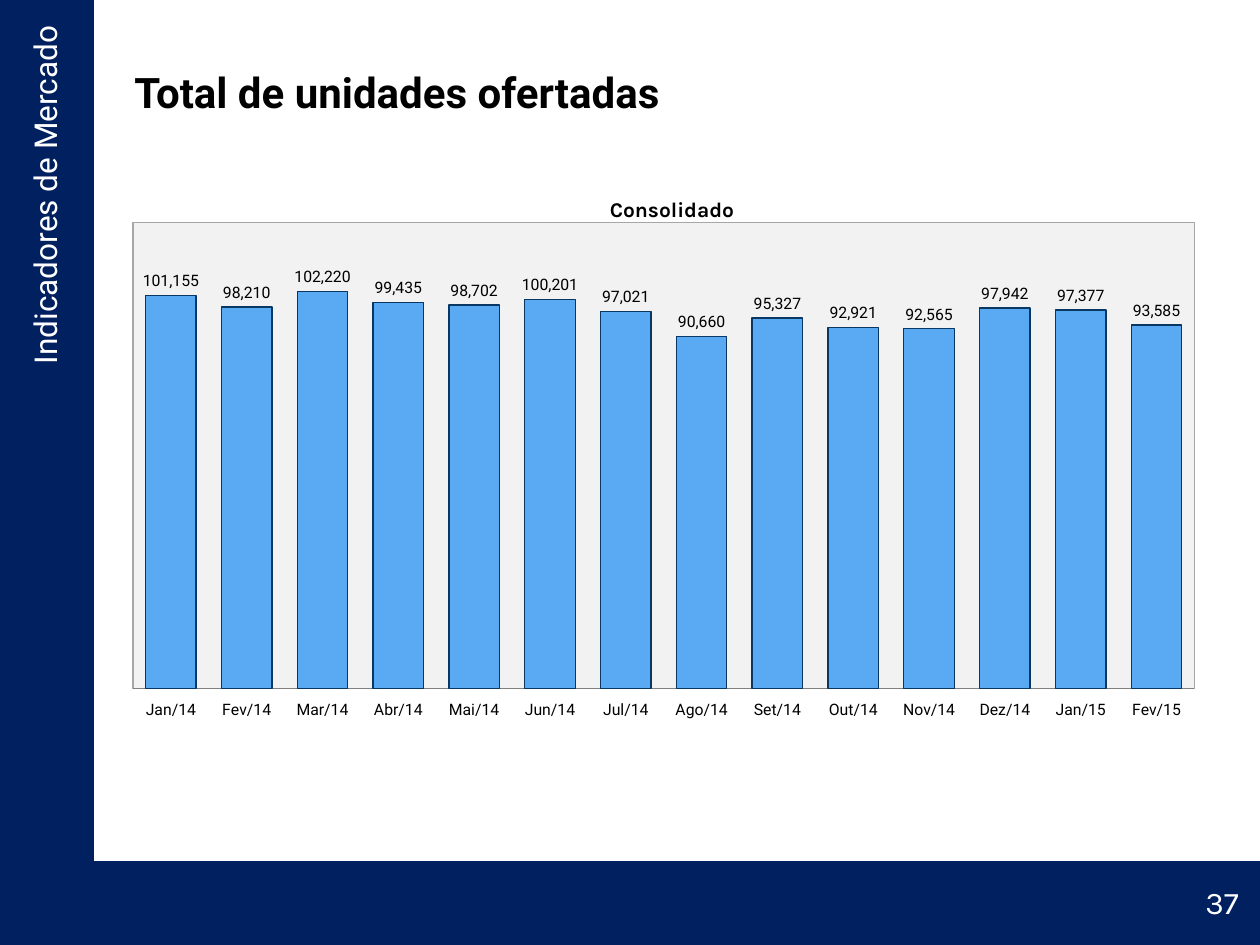
from dataclasses import dataclass

from lxml import etree
from pptx import Presentation
from pptx.chart.data import CategoryChartData
from pptx.dml.color import RGBColor
from pptx.enum.chart import XL_CHART_TYPE, XL_LABEL_POSITION, XL_TICK_LABEL_POSITION, XL_TICK_MARK
from pptx.enum.shapes import MSO_SHAPE
from pptx.enum.text import MSO_ANCHOR, PP_ALIGN
from pptx.oxml import parse_xml
from pptx.oxml.ns import nsdecls, qn
from pptx.util import Emu, Pt

RECTANGLE = MSO_SHAPE.RECTANGLE
COLUMNS = XL_CHART_TYPE.COLUMN_CLUSTERED
OUTSIDE_END = XL_LABEL_POSITION.OUTSIDE_END
LABELS_LOW = XL_TICK_LABEL_POSITION.LOW
NO_TICK = XL_TICK_MARK.NONE
LEFT, RIGHT = PP_ALIGN.LEFT, PP_ALIGN.RIGHT
TOP, MIDDLE = MSO_ANCHOR.TOP, MSO_ANCHOR.MIDDLE
EMU_PER_PX = 914400 / 126


@dataclass(frozen=True)
class Theme:
    navy: str = "002060"
    white: str = "FFFFFF"
    black: str = "000000"
    bar: str = "59AAF2"
    bar_edge: str = "083763"
    plot: str = "F2F2F2"
    plot_edge: str = "A6A6A6"
    axis: str = "808080"
    main_font: str = "Roboto"
    accent_font: str = "Karla"
    heading_size: int = 24
    margin_size: int = 18
    chart_title_size: int = 12
    chart_size: int = 10
    label_size: int = 9


@dataclass(frozen=True)
class Box:
    left: int
    top: int
    width: int
    height: int

    def emu(self) -> tuple[Emu, ...]:
        sides = (self.left, self.top, self.width, self.height)
        return tuple(Emu(round(side * EMU_PER_PX)) for side in sides)


THEME = Theme()
PAGE = Box(0, 0, 1260, 945)
BANDS = (Box(0, 861, 1260, 84), Box(0, 0, 94, 861))
MONTHS = ("Jan/14", "Fev/14", "Mar/14", "Abr/14", "Mai/14", "Jun/14", "Jul/14",
          "Ago/14", "Set/14", "Out/14", "Nov/14", "Dez/14", "Jan/15", "Fev/15")
UNITS = (101155, 98210, 102220, 99435, 98702, 100201, 97021,
         90660, 95327, 92921, 92565, 97942, 97377, 93585)


def style_font(font, size: int, color: str, family: str, bold: bool = False) -> None:
    font.size = Pt(size)
    font.name = family
    font.bold = bold
    font.color.rgb = RGBColor.from_string(color)


def add_band(slide, box: Box) -> None:
    band = slide.shapes.add_shape(RECTANGLE, *box.emu())
    band.shadow.inherit = False
    band.fill.solid()
    band.fill.fore_color.rgb = RGBColor.from_string(THEME.navy)
    band.line.fill.background()


def add_text(slide, text: str, box: Box, *, size: int, color: str, family: str,
             bold: bool = False, align=LEFT, anchor=TOP, rotation: int = 0) -> None:
    holder = slide.shapes.add_textbox(*box.emu())
    holder.rotation = rotation
    frame = holder.text_frame
    frame.word_wrap = True
    frame.vertical_anchor = anchor
    paragraph = frame.paragraphs[0]
    paragraph.alignment = align
    run = paragraph.add_run()
    run.text = text
    style_font(run.font, size, color, family, bold)


def manual_layout(**settings: str | float) -> etree._Element:
    items = "".join(f'<c:{key} val="{value}"/>' for key, value in settings.items())
    return parse_xml(f'<c:layout {nsdecls("c")}><c:manualLayout>{items}'
                     "</c:manualLayout></c:layout>")


def set_layout(parent: etree._Element, index: int, layout: etree._Element) -> None:
    for current in parent.findall(qn("c:layout")):
        parent.remove(current)
    parent.insert(index, layout)


def style_plot_area(chart) -> None:
    area = chart.element.find(".//" + qn("c:plotArea"))
    set_layout(area, 0, manual_layout(layoutTarget="inner", xMode="edge", yMode="edge",
                                      x=0.01, y=0.089, w=0.965, h=0.735))
    area.append(parse_xml(
        f'<c:spPr {nsdecls("c", "a")}><a:solidFill><a:srgbClr val="{THEME.plot}"/></a:solidFill>'
        f'<a:ln w="9525"><a:solidFill><a:srgbClr val="{THEME.plot_edge}"/></a:solidFill></a:ln>'
        "</c:spPr>"))


def add_units_chart(slide, box: Box) -> None:
    data = CategoryChartData(number_format="#,##0")
    data.categories = MONTHS
    data.add_series("Series 1", UNITS)
    chart = slide.shapes.add_chart(COLUMNS, *box.emu(), data).chart
    style_font(chart.font, THEME.chart_size, THEME.black, THEME.accent_font)
    chart.has_legend = False

    chart.has_title = True
    title = chart.chart_title
    title.include_in_layout = False
    heading = title.text_frame.paragraphs[0].add_run()
    heading.text = "Consolidado"
    style_font(heading.font, THEME.chart_title_size, THEME.black, THEME.accent_font, True)
    set_layout(title._element, 1, manual_layout(xMode="edge", yMode="edge", x=0.44, y=0.04))
    style_plot_area(chart)

    months = chart.category_axis
    months.major_tick_mark = NO_TICK
    months.minor_tick_mark = NO_TICK
    months.tick_label_position = LABELS_LOW
    months.format.line.color.rgb = RGBColor.from_string(THEME.axis)
    style_font(months.tick_labels.font, THEME.label_size, THEME.black, THEME.main_font)

    scale = chart.value_axis
    scale.minimum_scale, scale.maximum_scale = 0, 120000
    scale.has_major_gridlines = False
    scale.visible = False

    plot = chart.plots[0]
    plot.gap_width = 50
    plot.vary_by_categories = False
    bars = plot.series[0].format
    bars.fill.solid()
    bars.fill.fore_color.rgb = RGBColor.from_string(THEME.bar)
    bars.line.color.rgb = RGBColor.from_string(THEME.bar_edge)
    bars.line.width = Pt(0.75)

    plot.has_data_labels = True
    labels = plot.data_labels
    labels.show_value = True
    labels.number_format = "#,##0"
    labels.number_format_is_linked = False
    labels.position = OUTSIDE_END
    style_font(labels.font, THEME.label_size, THEME.black, THEME.main_font)


def main() -> None:
    deck = Presentation()
    _, _, deck.slide_width, deck.slide_height = PAGE.emu()
    slide = deck.slides.add_slide(deck.slide_layouts[6])
    for band in BANDS:
        add_band(slide, band)
    add_text(slide, "Indicadores de Mercado", Box(-321, 354, 731, 50), size=THEME.margin_size,
             color=THEME.white, family=THEME.main_font, align=RIGHT, rotation=270)
    add_text(slide, "Total de unidades ofertadas", Box(122, 37, 1071, 110),
             size=THEME.heading_size, color=THEME.black, family=THEME.main_font,
             bold=True, anchor=MIDDLE)
    add_text(slide, "37", Box(1193, 877, 67, 68), size=THEME.margin_size,
             color=THEME.white, family=THEME.accent_font)
    add_units_chart(slide, Box(122, 166, 1100, 634))
    deck.save("out.pptx")


if __name__ == "__main__":
    main()
